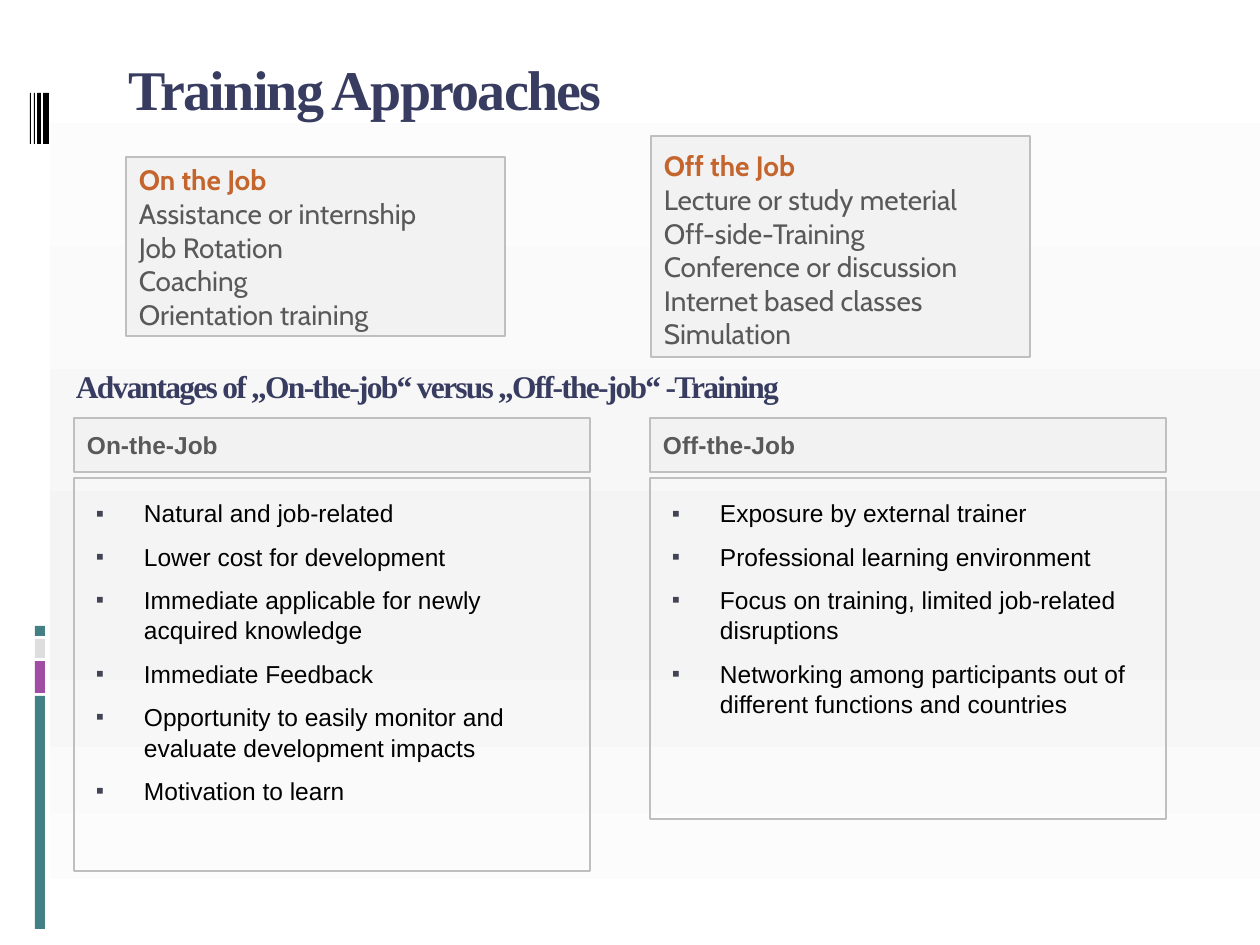
from copy import deepcopy

from lxml.etree import SubElement
from pptx import Presentation
from pptx.dml.color import RGBColor
from pptx.enum.shapes import MSO_SHAPE as Shape
from pptx.enum.text import MSO_ANCHOR as Anchor, PP_ALIGN as Align
from pptx.oxml.ns import qn
from pptx.util import Emu, Pt

WHITE = RGBColor(0xFF, 0xFF, 0xFF)
BLACK = RGBColor(0, 0, 0)
MIST = RGBColor(0xF4, 0xF4, 0xF4)
PANEL = RGBColor(0xF2, 0xF2, 0xF2)
BORDER = RGBColor(0xBF, 0xBF, 0xBF)
GRAY = RGBColor(0x59, 0x59, 0x59)
SILVER = RGBColor(0xDE, 0xDE, 0xDE)
NAVY = RGBColor(0x38, 0x3C, 0x60)
ORANGE = RGBColor(0xC4, 0x65, 0x2D)
TEAL = RGBColor(0x43, 0x80, 0x86)
PURPLE = RGBColor(0xA0, 0x4D, 0xA3)
BULLET = RGBColor(0x42, 0x44, 0x56)

BARCODE = [(30, 1), (34, 1), (37, 4), (43, 6)]
BLOCKS = [(626, 10, TEAL), (639, 19, SILVER), (661, 32, PURPLE), (696, 233, TEAL)]

ON_METHODS = ["On the Job", "Assistance or internship", "Job Rotation", "Coaching",
              "Orientation training"]
OFF_METHODS = ["Off the Job", "Lecture or study meterial", "Off-side-Training",
               "Conference or discussion", "Internet based classes", "Simulation"]

COLUMNS = [
    (74, 393, "On-the-Job", [
        "Natural and job-related",
        "Lower cost for development",
        "Immediate applicable for newly acquired knowledge",
        "Immediate Feedback",
        "Opportunity to easily monitor and evaluate development impacts",
        "Motivation to learn",
    ]),
    (650, 341, "Off-the-Job", [
        "Exposure by external trainer",
        "Professional learning environment",
        "Focus on training, limited job-related disruptions",
        "Networking among participants out of different functions and countries",
    ]),
]
COLUMN_WIDTH = 516


def px(count):
    return Emu(round(count * 914400 / 126))


def paint_background(page):
    fill = page.background.fill
    fill.gradient()
    fill.gradient_angle = 270
    stops = fill.gradient_stops
    first = stops[0]._gs
    first.addnext(deepcopy(first))
    for stop, (position, color) in zip(fill.gradient_stops,
                                       [(0, WHITE), (0.65, MIST), (1, WHITE)]):
        stop.position = position
        stop.color.rgb = color


def add_rect(page, left, top, width, height, fill=None, line=None):
    rect = page.shapes.add_shape(Shape.RECTANGLE, px(left), px(top), px(width), px(height))
    rect.shadow.inherit = False
    if fill is None:
        rect.fill.background()
    else:
        rect.fill.solid()
        rect.fill.fore_color.rgb = fill
    if line is None:
        rect.line.fill.background()
    else:
        rect.line.color.rgb = line
        rect.line.width = Pt(0.75)
    return rect


def set_frame(box, top_inset=6, right_inset=13, anchor=Anchor.TOP):
    frame = box.text_frame
    frame.word_wrap = True
    frame.vertical_anchor = anchor
    frame.margin_left, frame.margin_right = px(13), px(right_inset)
    frame.margin_top, frame.margin_bottom = px(top_inset), px(6)
    return frame


def write_lines(frame, lines):
    paras = []
    for index, line in enumerate(lines):
        para = frame.add_paragraph() if index else frame.paragraphs[0]
        para.add_run().text = line
        para.alignment = Align.LEFT
        paras.append(para)
    return paras


def style(para, name, size, color, bold=False):
    font = para.font
    font.name, font.size, font.bold = name, Pt(size), bold
    font.color.rgb = color


def add_bullet(para):
    props = para._p.get_or_add_pPr()
    props.set("marL", str(px(57)))
    props.set("indent", str(px(-48)))
    color = SubElement(props, qn("a:buClr"))
    SubElement(color, qn("a:srgbClr"), val=str(BULLET))
    SubElement(props, qn("a:buSzPct"), val="95000")
    SubElement(props, qn("a:buFont"), typeface="Arial")
    SubElement(props, qn("a:buChar"), char="▪")


def add_heading(page, text, left, top, width, height, size, top_inset):
    box = page.shapes.add_textbox(px(left), px(top), px(width), px(height))
    para = write_lines(set_frame(box, top_inset), [text])[0]
    style(para, "Times New Roman", size, NAVY, True)
    para.runs[0]._r.get_or_add_rPr().set("spc", "-100")


def add_methods(page, lines, left, top, height, top_inset):
    box = add_rect(page, left, top, 379, height, PANEL, BORDER)
    for index, para in enumerate(write_lines(set_frame(box, top_inset), lines)):
        style(para, "Cabin", 16, GRAY if index else ORANGE, index == 0)


def add_advantages(page, left, height, heading, points):
    body = add_rect(page, left, 478, COLUMN_WIDTH, height, line=BORDER)
    for index, para in enumerate(write_lines(set_frame(body, 19, 15), points)):
        add_bullet(para)
        para.line_spacing = 1.05
        para.space_before = Pt(7 if index else 0)
        style(para, "Arial", 14, BLACK)
    header = add_rect(page, left, 418, COLUMN_WIDTH, 54, PANEL, BORDER)
    para = write_lines(set_frame(header, anchor=Anchor.MIDDLE), [heading])[0]
    style(para, "Arial", 14, GRAY, True)


def add_side_strip(page):
    add_rect(page, 0, 0, 50, 945, WHITE)
    for top, height, color in BLOCKS:
        add_rect(page, 35, top, 10, height, color)
    for left, width in BARCODE:
        add_rect(page, left, 93, width, 51, BLACK)


def main():
    deck = Presentation()
    deck.slide_width, deck.slide_height = px(1260), px(945)
    page = deck.slides.add_slide(deck.slide_layouts[6])
    paint_background(page)
    add_side_strip(page)
    add_heading(page, "Training Approaches", 116, 42, 1071, 126, 32, 13)
    add_methods(page, ON_METHODS, 126, 157, 179, 6)
    add_methods(page, OFF_METHODS, 651, 136, 221, 13)
    add_heading(page, "Advantages of „On-the-job“ versus „Off-the-job“ -Training",
                63, 357, 1134, 67, 18, 10)
    for column in COLUMNS:
        add_advantages(page, *column)
    deck.save("out.pptx")


if __name__ == "__main__":
    main()
